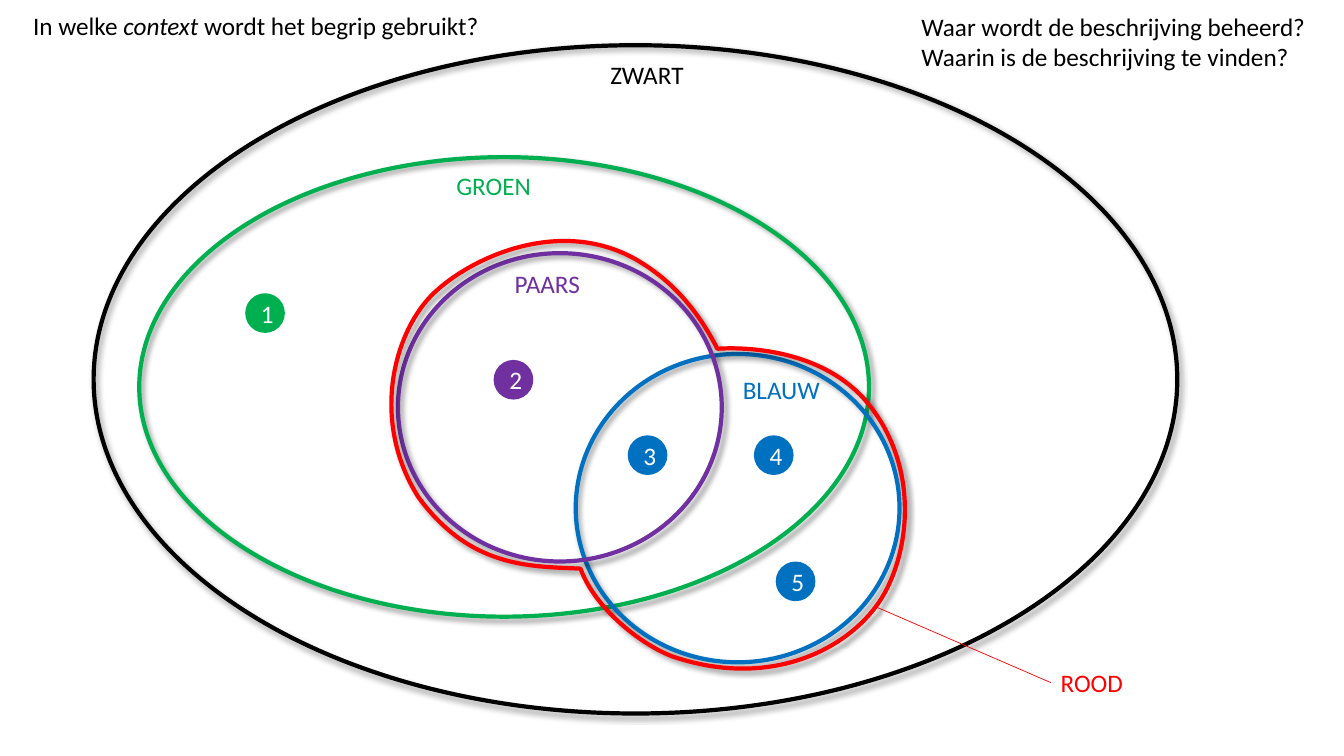
from lxml import etree
from pptx import Presentation
from pptx import util as u
from pptx.dml.color import RGBColor
from pptx.enum import shapes, text
from pptx.oxml import ns

BLACK = RGBColor(0, 0, 0)
WHITE = RGBColor(255, 255, 255)
GREEN = RGBColor(0, 176, 80)
BLUE = RGBColor(0, 112, 192)
PURPLE = RGBColor(112, 48, 160)
RED = RGBColor(255, 0, 0)

SETS = [
    (BLACK, 2.36, 1.14, 27.31, 16.84),
    (GREEN, 3.51, 3.96, 18.39, 11.58),
    (BLUE, 14.51, 8.92, 8.16, 7.77),
    (PURPLE, 10.03, 6.38, 8.16, 7.77),
]
FRAME = (9.88, 6.07, 12.93, 10.77)
START = (10.85, 7.47)
CURVES = [
    ((11.79, 6.5), (14.22, 5.36), (16.21, 6.65)),
    ((17.14, 7.24), (17.7, 8.05), (18.08, 8.79)),
    ((18.8, 8.74), (20.62, 8.81), (21.74, 10.01)),
    ((23.32, 11.76), (22.89, 14.22), (22.07, 15.29)),
    ((21.26, 16.38), (19.38, 17.37), (16.94, 16.54)),
    ((16.13, 16.23), (14.99, 15.32), (14.63, 14.33)),
    ((13.39, 14.27), (11.86, 14.33), (10.54, 12.52)),
    ((9.35, 10.62), (9.91, 8.46), START),
]
DOTS = [
    ("1", GREEN, 6.18, 7.39),
    ("2", PURPLE, 12.44, 9.07),
    ("3", BLUE, 15.82, 10.97),
    ("4", BLUE, 19, 10.97),
    ("5", BLUE, 19.55, 14.15),
]
LABELS = [
    ("ZWART", BLACK, 15.13, 1.37, 2.36),
    ("GROEN", GREEN, 11.25, 4.16, 2.41),
    ("PAARS", PURPLE, 12.72, 6.63, 2.16),
    ("BLAUW", BLUE, 18.47, 9.3, 2.46),
    ("ROOD", RED, 26.48, 16.69, 2.11),
]


def write(shape, lines, color=BLACK, align=text.PP_ALIGN.LEFT,
          anchor=text.MSO_ANCHOR.TOP, wrap=False, fit=text.MSO_AUTO_SIZE.NONE):
    frame = shape.text_frame
    frame.word_wrap = wrap
    frame.auto_size = fit
    frame.vertical_anchor = anchor
    for i, line in enumerate(lines):
        para = frame.add_paragraph() if i else frame.paragraphs[0]
        para.alignment = align
        for j, part in enumerate(line.split("*")):
            run = para.add_run()
            run.text = part
            run.font.name = "Calibri"
            run.font.size = u.Pt(18)
            run.font.italic = j % 2 == 1
            run.font.color.rgb = color


def outline(shape, color):
    shape.fill.background()
    shape.line.color.rgb = color
    shape.line.width = u.Pt(3)
    shape.shadow.inherit = False
    effects = shape.element.spPr.find(ns.qn("a:effectLst"))
    shade = etree.SubElement(effects, ns.qn("a:outerShdw"), blurRad=str(u.Pt(4)),
                             dist=str(u.Pt(3)), dir="2700000", algn="tl", rotWithShape="0")
    tint = etree.SubElement(shade, ns.qn("a:srgbClr"), val="000000")
    etree.SubElement(tint, ns.qn("a:alpha"), val="40000")


def oval(slide, x, y, w, h):
    return slide.shapes.add_shape(shapes.MSO_SHAPE.OVAL, u.Cm(x), u.Cm(y), u.Cm(w), u.Cm(h))


def union(slide):
    x, y, w, h = map(u.Cm, FRAME)
    form = slide.shapes.build_freeform(x, y)
    form.add_line_segments([(x + w, y), (x + w, y + h), (x, y + h)], close=True)
    shape = form.convert_to_shape()
    route = next(shape.element.iter(ns.qn("a:path")))
    for step in list(route):
        route.remove(step)
    for tag, points in [("a:moveTo", [START])] + [("a:cubicBezTo", c) for c in CURVES]:
        step = etree.SubElement(route, ns.qn(tag))
        for px, py in points:
            etree.SubElement(step, ns.qn("a:pt"), x=str(u.Cm(px) - x), y=str(u.Cm(py) - y))
    etree.SubElement(route, ns.qn("a:close"))
    outline(shape, RED)


def dot(slide, digit, color, x, y):
    shape = oval(slide, x, y, 1, 1)
    shape.shadow.inherit = False
    shape.fill.solid()
    shape.fill.fore_color.rgb = color
    shape.line.fill.background()
    write(shape, [digit], color=WHITE, align=text.PP_ALIGN.CENTER,
          anchor=text.MSO_ANCHOR.MIDDLE, wrap=True)


def label(slide, lines, color, x, y, w, h=1.03):
    box = slide.shapes.add_textbox(u.Cm(x), u.Cm(y), u.Cm(w), u.Cm(h))
    write(box, lines, color=color, fit=text.MSO_AUTO_SIZE.SHAPE_TO_FIT_TEXT)


def leader(slide, x1, y1, x2, y2):
    line = slide.shapes.add_connector(
        shapes.MSO_CONNECTOR.STRAIGHT, u.Cm(x1), u.Cm(y1), u.Cm(x2), u.Cm(y2))
    line.line.color.rgb = RED
    line.line.width = u.Pt(0.5)
    etree.SubElement(line.element.spPr, ns.qn("a:effectLst"))


def heading(slide, line, x, y, w, h):
    title = slide.shapes.title
    title.left, title.top, title.width, title.height = map(u.Cm, (x, y, w, h))
    write(title, [line], fit=text.MSO_AUTO_SIZE.SHAPE_TO_FIT_TEXT)


def main():
    deck = Presentation()
    deck.slide_width, deck.slide_height = u.Cm(33.87), u.Cm(19.05)
    slide = deck.slides.add_slide(deck.slide_layouts[5])
    heading(slide, "In welke *context* wordt het begrip gebruikt?", 0.58, 0.14, 11.86, 1.03)
    for color, *place in SETS:
        outline(oval(slide, *place), color)
    union(slide)
    for item in DOTS:
        dot(slide, *item)
    for name, *rest in LABELS:
        label(slide, [name], *rest)
    leader(slide, 26.48, 17.2, 22.07, 15.29)
    label(slide, ["Waar wordt de beschrijving beheerd?", "Waarin is de beschrijving te vinden?"],
          BLACK, 22.97, 0.15, 10.31, 1.8)
    deck.save("out.pptx")


if __name__ == "__main__":
    main()
